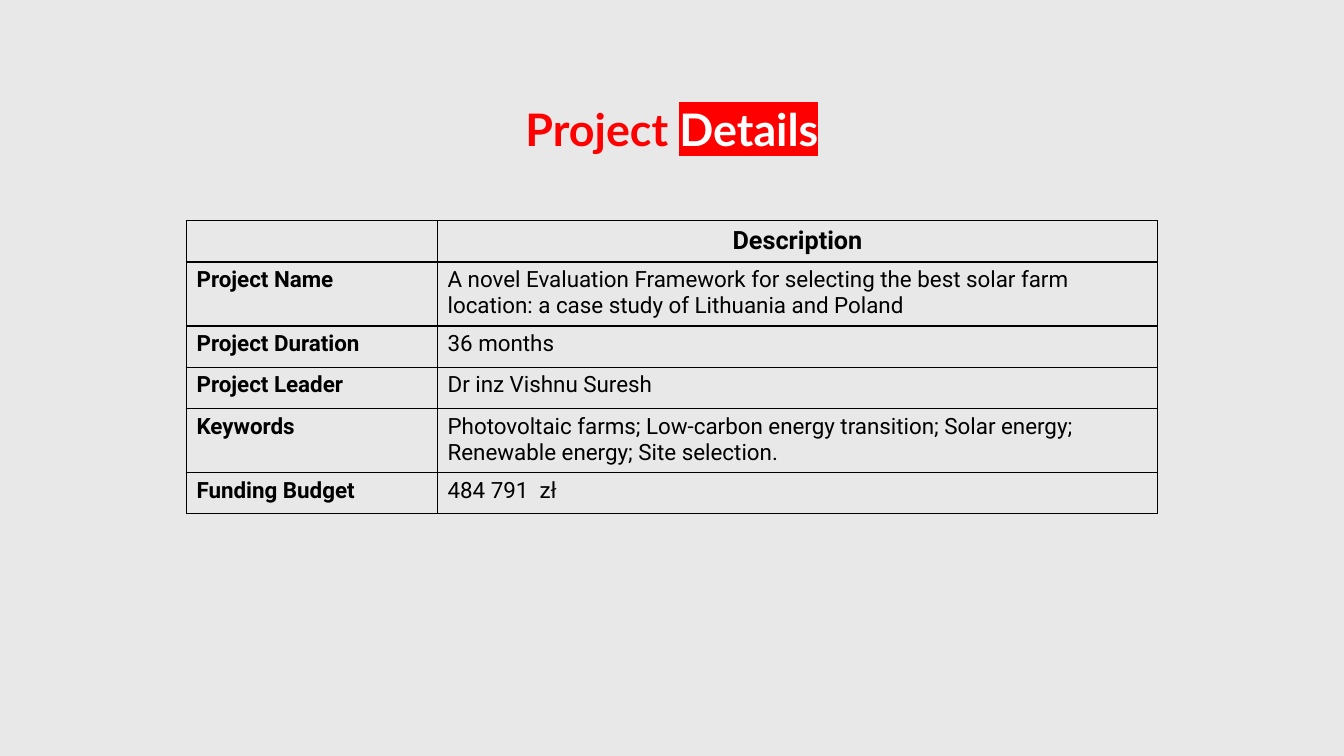
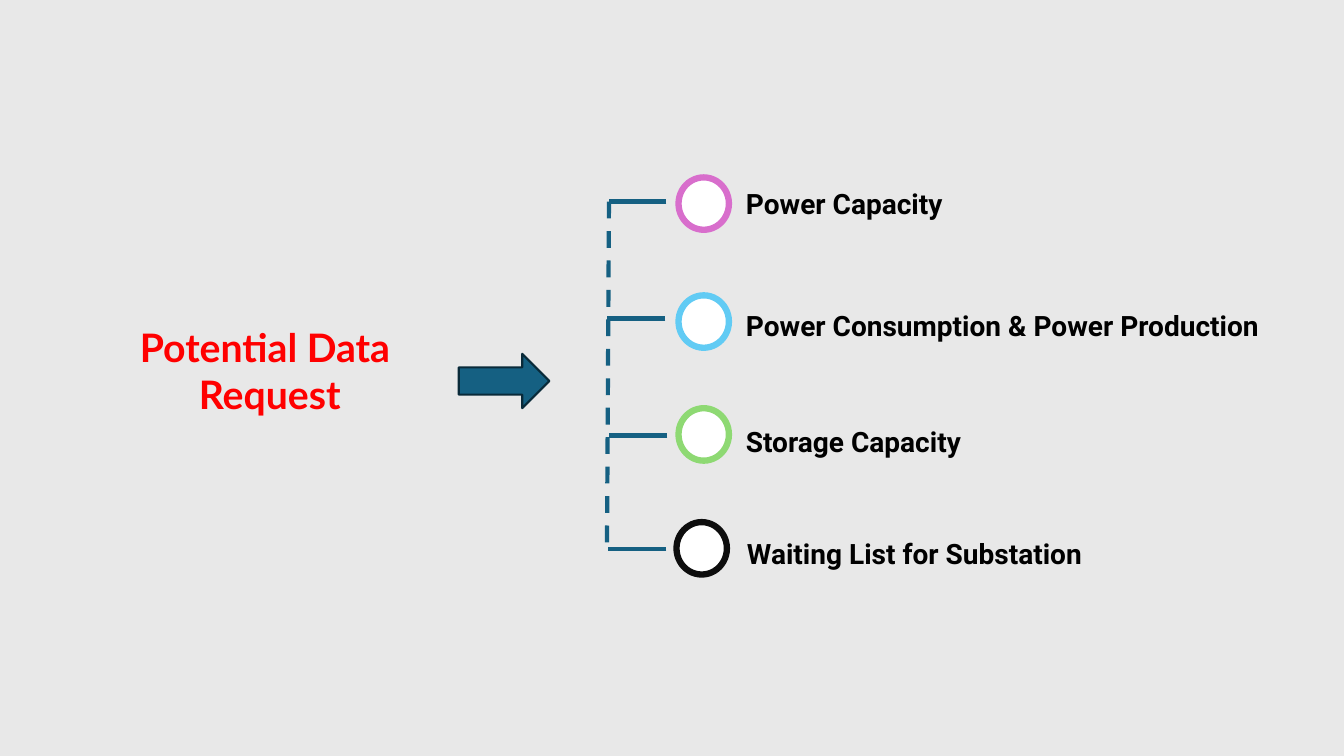
from lxml import etree
from pptx import Presentation
from pptx.dml.color import RGBColor
from pptx.enum.dml import MSO_LINE
from pptx.enum.shapes import MSO_CONNECTOR, MSO_SHAPE
from pptx.enum.text import MSO_AUTO_SIZE, PP_ALIGN
from pptx.oxml.ns import qn
from pptx.util import Inches, Pt

COLORS = {
    "background": "E8E8E8", "title": "FF0000", "white": "FFFFFF", "text": "000000",
    "branch": "156082", "arrow_edge": "092A39",
    "pink": "D86ECC", "sky": "61CBF4", "green": "8ED973", "black": "0D0D0D",
}
TITLE_FONT, BODY_FONT = "Lato", "Roboto"

DETAILS = [
    ("", "Description"),
    ("Project Name", "A novel Evaluation Framework for selecting the best solar farm "
                     "location: a case study of Lithuania and Poland"),
    ("Project Duration", "36 months"),
    ("Project Leader", "Dr inz Vishnu Suresh"),
    ("Keywords", "Photovoltaic farms; Low-carbon energy transition; Solar energy; "
                 "Renewable energy; Site selection."),
    ("Funding Budget", "484 791  zł"),
]
COLUMN_WIDTHS = (2.49, 7.14)
ROW_HEIGHT = 0.41

# label, ring colour, ring (left, top), label box (left, top, width), branch (start, end, y)
REQUESTS = [
    ("Power Capacity", "pink", (6.73, 1.76), (7.3, 1.8, 2.25), (6.04, 6.61, 2)),
    ("Power Consumption & Power Production", "sky", (6.73, 2.93), (7.3, 3.01, 5.36),
     (6.02, 6.6, 3.16)),
    ("Storage Capacity", "green", (6.73, 4.05), (7.3, 4.16, 2.37), (6.04, 6.62, 4.32)),
    ("Waiting List for Substation", "black", (6.71, 5.18), (7.31, 5.27, 3.55),
     (6.03, 6.61, 5.45)),
]
RING_SIZE = (0.5, 0.52)
TRUNK = (6.04, 2, 6.02, 5.5)


def color(name):
    return RGBColor.from_string(COLORS[name])


def inches(*values):
    return [Inches(value) for value in values]


def add_slide(presentation):
    slide = presentation.slides.add_slide(presentation.slide_layouts[6])
    slide.background.fill.solid()
    slide.background.fill.fore_color.rgb = color("background")
    return slide


def style(paragraph, font_name, size, color_name, bold=True, align=PP_ALIGN.LEFT):
    paragraph.alignment = align
    font = paragraph.font
    font.name, font.size, font.bold = font_name, Pt(size), bold
    font.color.rgb = color(color_name)


def add_text_box(slide, box, lines, wrap=True):
    """Add a text box and return its paragraphs, one for each line."""
    frame = slide.shapes.add_textbox(*inches(*box)).text_frame
    frame.word_wrap = wrap
    frame.auto_size = MSO_AUTO_SIZE.SHAPE_TO_FIT_TEXT
    frame.text = "\n".join(lines)
    return frame.paragraphs


def add_title(slide, box, lines, size):
    paragraphs = add_text_box(slide, box, lines)
    for paragraph in paragraphs:
        style(paragraph, TITLE_FONT, size, "title", align=PP_ALIGN.CENTER)
    return paragraphs


def highlight(run, text_color, back_color):
    run.font.color.rgb = color(text_color)
    mark = etree.SubElement(run.font._element, qn("a:highlight"))
    etree.SubElement(mark, qn("a:srgbClr"), val=COLORS[back_color])


def outline_cell(cell, color_name, width):
    properties = cell._tc.get_or_add_tcPr()
    for index, side in enumerate(("lnL", "lnR", "lnT", "lnB")):
        line = etree.Element(qn(f"a:{side}"), w=str(Pt(width)))
        fill = etree.SubElement(line, qn("a:solidFill"))
        etree.SubElement(fill, qn("a:srgbClr"), val=COLORS[color_name])
        properties.insert(index, line)


def add_shape(slide, kind, box, fill, line, width):
    shape = slide.shapes.add_shape(kind, *inches(*box))
    shape.shadow.inherit = False
    shape.fill.solid()
    shape.fill.fore_color.rgb = color(fill)
    shape.line.color.rgb = color(line)
    shape.line.width = Pt(width)


def add_line(slide, ends, dash=None):
    line = slide.shapes.add_connector(MSO_CONNECTOR.STRAIGHT, *inches(*ends))
    line.line.color.rgb = color("branch")
    line.line.width = Pt(3)
    line.line.dash_style = dash
    etree.SubElement(line._element.spPr, qn("a:effectLst"))


def build_details(presentation):
    slide = add_slide(presentation)
    title = add_title(slide, (1.85, 0.96, 9.63, 0.64), ["Project "], 32)[0]
    accent = title.add_run()
    accent.text = "Details"
    highlight(accent, "white", "title")

    box = (1.85, 2.19, sum(COLUMN_WIDTHS), ROW_HEIGHT * len(DETAILS))
    table = slide.shapes.add_table(len(DETAILS), len(COLUMN_WIDTHS), *inches(*box)).table
    table.first_row = table.horz_banding = False
    for column, width in zip(table.columns, COLUMN_WIDTHS):
        column.width = Inches(width)
    for row_index, values in enumerate(DETAILS):
        table.rows[row_index].height = Inches(ROW_HEIGHT)
        header = row_index == 0
        for column_index, value in enumerate(values):
            cell = table.cell(row_index, column_index)
            cell.text = value
            cell.fill.background()
            outline_cell(cell, "text", 1)
            style(cell.text_frame.paragraphs[0], BODY_FONT, 18 if header else 16, "text",
                  bold=header or column_index == 0,
                  align=PP_ALIGN.CENTER if header else PP_ALIGN.LEFT)


def build_requests(presentation):
    slide = add_slide(presentation)
    add_title(slide, (1.02, 3.16, 3.31, 1.04), ["Potential Data ", "Request"], 28)
    add_shape(slide, MSO_SHAPE.RIGHT_ARROW, (4.55, 3.51, 0.9, 0.54),
              "branch", "arrow_edge", 1.5)
    add_line(slide, TRUNK, MSO_LINE.DASH)
    for label, ring_color, ring, (left, top, width), (start, end, y) in REQUESTS:
        add_line(slide, (end, y, start, y))
        add_shape(slide, MSO_SHAPE.OVAL, ring + RING_SIZE, "white", ring_color, 4.5)
        paragraph = add_text_box(slide, (left, top, width, 0.44), [label], wrap=False)[0]
        style(paragraph, BODY_FONT, 20, "text")


def main():
    presentation = Presentation()
    presentation.slide_width, presentation.slide_height = inches(13.33, 7.5)
    build_details(presentation)
    build_requests(presentation)
    presentation.save("out.pptx")


if __name__ == "__main__":
    main()
